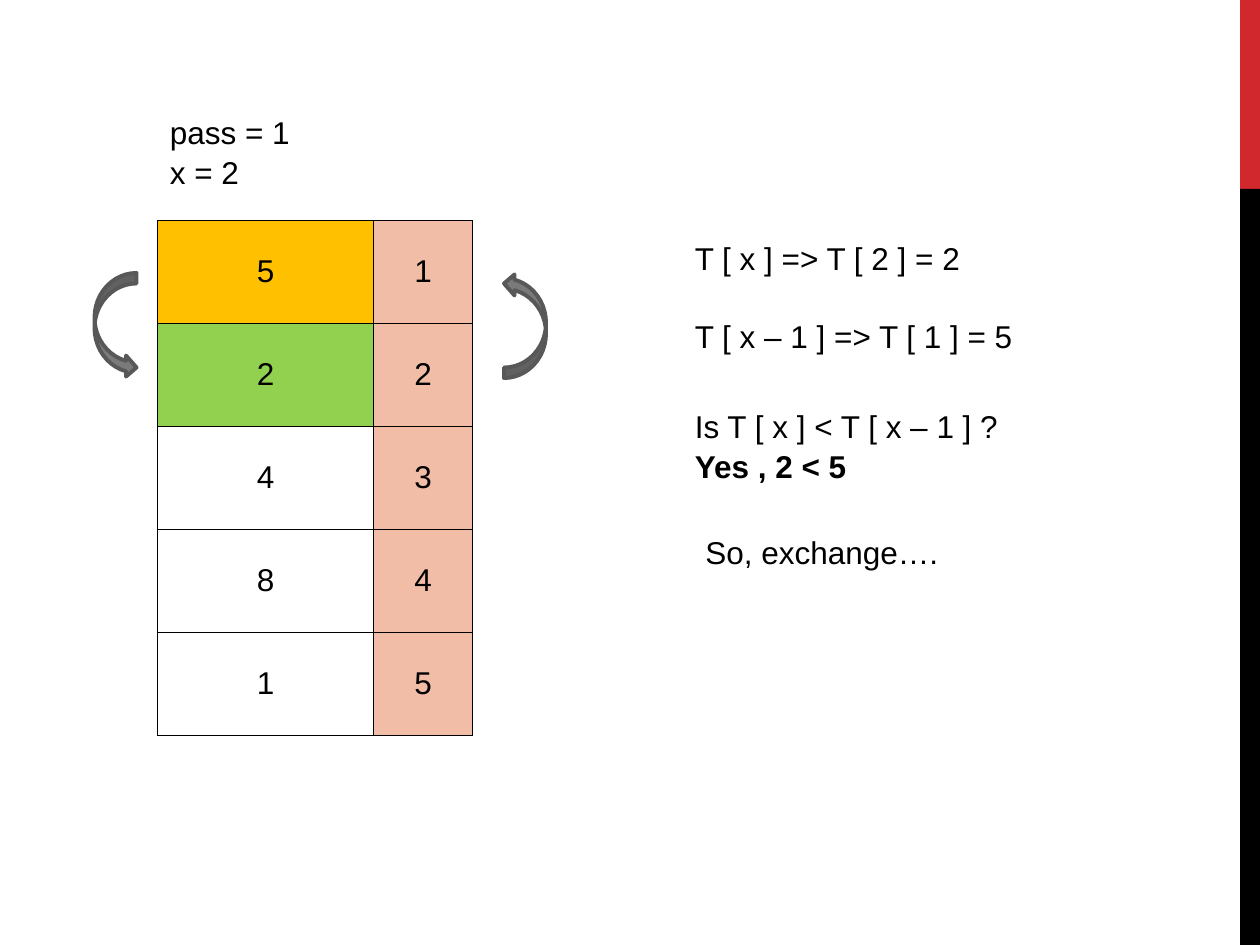
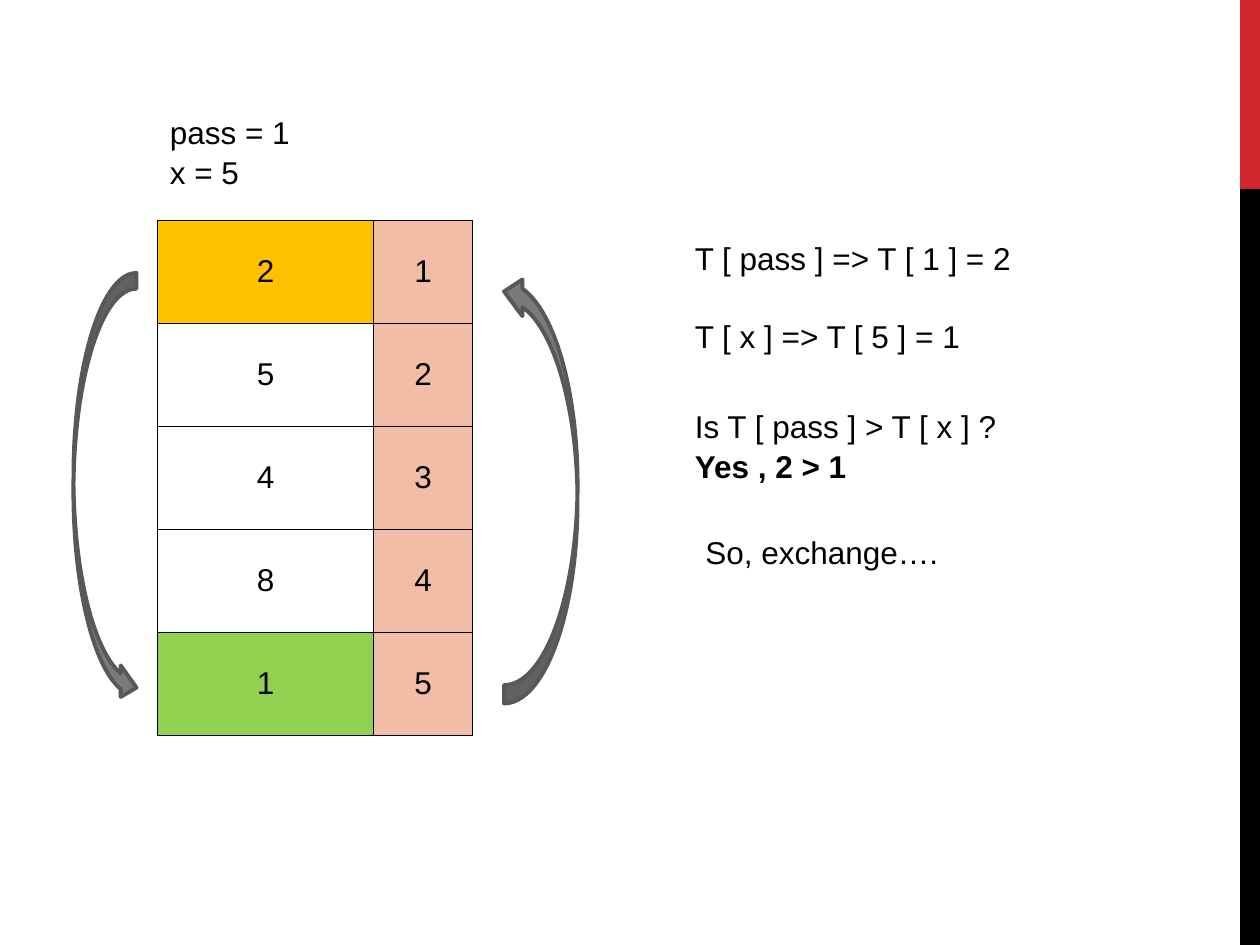
"""Build two slides that step through exchanges in a sorting pass."""
from dataclasses import dataclass

from lxml import etree
from pptx import Presentation
from pptx.dml.color import RGBColor
from pptx.enum.shapes import MSO_SHAPE
from pptx.enum.text import MSO_ANCHOR, MSO_AUTO_SIZE, PP_ALIGN
from pptx.oxml.ns import qn
from pptx.util import Inches, Pt

RECTANGLE = MSO_SHAPE.RECTANGLE
CURVED_ARROW = MSO_SHAPE.CURVED_RIGHT_ARROW
CENTER = PP_ALIGN.CENTER
MIDDLE = MSO_ANCHOR.MIDDLE
FIT_SHAPE = MSO_AUTO_SIZE.SHAPE_TO_FIT_TEXT


@dataclass(frozen=True)
class Theme:
    font: str = "Arial"
    size: Pt = Pt(18)
    line_spacing: float = 1.05
    blank_line: Pt = Pt(21.7)
    border: Pt = Pt(0.45)
    arrow_border: Pt = Pt(2.25)
    black: RGBColor = RGBColor.from_string("000000")
    red: RGBColor = RGBColor.from_string("D1282E")
    current: RGBColor = RGBColor.from_string("FFC000")
    compared: RGBColor = RGBColor.from_string("92D050")
    index: RGBColor = RGBColor.from_string("F1BDA7")
    arrow: RGBColor = RGBColor.from_string("7A7A7A")
    arrow_line: RGBColor = RGBColor.from_string("585858")


THEME = Theme()

presentation = Presentation()
presentation.slide_width = Inches(10)
presentation.slide_height = Inches(7.5)
UNIT = presentation.slide_width / 12
BAND_LEFT, BAND_SPLIT, GRID_RIGHT, GRID_BOTTOM = 11.81, 1.8, 12, 9
TABLE_LEFT, TABLE_TOP, ROW_HEIGHT = 1.5, 2.1, 0.98
COLUMN_WIDTHS = 2.06, 0.94
ARROW_TOP, LEFT_ARROW_END, RIGHT_ARROW_START = 2.6, 1.3, 4.8


def grid(*lengths):
    return [round(length * UNIT) for length in lengths]


def style_paragraph(paragraph, text):
    paragraph.text = text
    paragraph.font.name = THEME.font
    paragraph.font.size = THEME.size
    paragraph.font.color.rgb = THEME.black


steps = [
    {
        "values": [5, 2, 4, 8, 1],
        "x": 2,
        "lookups": ["T [ x ] => T [ 2 ] = 2", "T [ x – 1 ] => T [ 1 ] = 5"],
        "question": "Is T [ x ] < T [ x – 1 ] ?",
        "answer": "Yes , 2 < 5",
        "arrow_widths": (0.4, 0.4),
        "arrow_height": 1,
    },
    {
        "values": [2, 5, 4, 8, 1],
        "x": 5,
        "lookups": ["T [ pass ] => T [ 1 ] = 2", "T [ x ] => T [ 5 ] = 1"],
        "question": "Is T [ pass ] > T [ x ] ?",
        "answer": "Yes , 2 > 1",
        "arrow_widths": (0.6, 0.7),
        "arrow_height": 4.1,
    },
]

for step in steps:
    slide = presentation.slides.add_slide(presentation.slide_layouts[6])

    for top, bottom, color in [(0, BAND_SPLIT, THEME.red), (BAND_SPLIT, GRID_BOTTOM, THEME.black)]:
        band = slide.shapes.add_shape(
            RECTANGLE, *grid(BAND_LEFT, top, GRID_RIGHT - BAND_LEFT, bottom - top))
        band.shadow.inherit = False
        band.fill.solid()
        band.fill.fore_color.rgb = color
        band.line.fill.background()

    values = step["values"]
    table = slide.shapes.add_table(
        len(values), 2,
        *grid(TABLE_LEFT, TABLE_TOP, sum(COLUMN_WIDTHS), ROW_HEIGHT * len(values))).table
    table.first_row = table.horz_banding = False
    for column, width in zip(table.columns, grid(*COLUMN_WIDTHS)):
        column.width = width
    for position, value in enumerate(values, start=1):
        table.rows[position - 1].height = grid(ROW_HEIGHT)[0]
        value_fill = {1: THEME.current, step["x"]: THEME.compared}.get(position)
        for column, (text, color) in enumerate([(value, value_fill), (position, THEME.index)]):
            cell = table.cell(position - 1, column)
            cell.vertical_anchor = MIDDLE
            paragraph = cell.text_frame.paragraphs[0]
            paragraph.alignment = CENTER
            style_paragraph(paragraph, str(text))
            properties = cell._tc.get_or_add_tcPr()
            for side in ("lnL", "lnR", "lnT", "lnB"):
                border = etree.SubElement(properties, qn(f"a:{side}"), w=str(int(THEME.border)))
                fill = etree.SubElement(border, qn("a:solidFill"))
                etree.SubElement(fill, qn("a:srgbClr"), val=str(THEME.black))
            if color is None:
                cell.fill.background()
            else:
                cell.fill.solid()
                cell.fill.fore_color.rgb = color

    text_blocks = [
        ((1.5, 1, 2.2, 0.84), ["pass = 1", f"x = {step['x']}"], 0),
        ((6.5, 2.2, 4.3, 1.2), step["lookups"], THEME.blank_line),
        ((6.5, 3.8, 4.1, 0.84), [step["question"], step["answer"]], 0),
        ((6.6, 5, 3.8, 0.48), ["So, exchange…."], 0),
    ]
    for box, lines, gap in text_blocks:
        frame = slide.shapes.add_textbox(*grid(*box)).text_frame
        frame.word_wrap = True
        frame.auto_size = FIT_SHAPE
        for number, line in enumerate(lines):
            paragraph = frame.add_paragraph() if number else frame.paragraphs[0]
            style_paragraph(paragraph, line)
            paragraph.line_spacing = THEME.line_spacing
            if number and gap:
                paragraph.space_before = gap
            if line == step["answer"]:
                paragraph.font.bold = True

    left_width, right_width = step["arrow_widths"]
    for left, width, rotation in [(LEFT_ARROW_END - left_width, left_width, 0),
                                  (RIGHT_ARROW_START, right_width, 180)]:
        arrow = slide.shapes.add_shape(
            CURVED_ARROW, *grid(left, ARROW_TOP, width, step["arrow_height"]))
        arrow.rotation = rotation
        arrow.shadow.inherit = False
        arrow.fill.solid()
        arrow.fill.fore_color.rgb = THEME.arrow
        arrow.line.color.rgb = THEME.arrow_line
        arrow.line.width = THEME.arrow_border

presentation.save("out.pptx")
